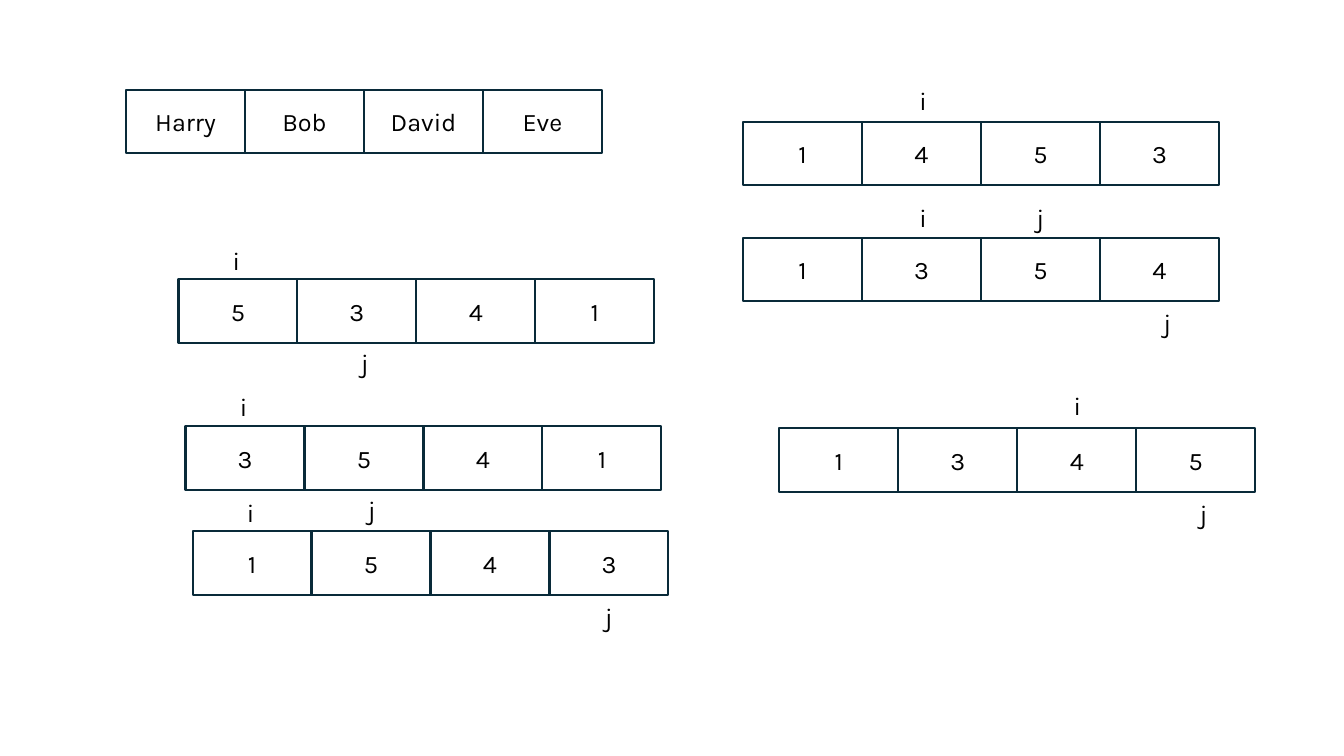
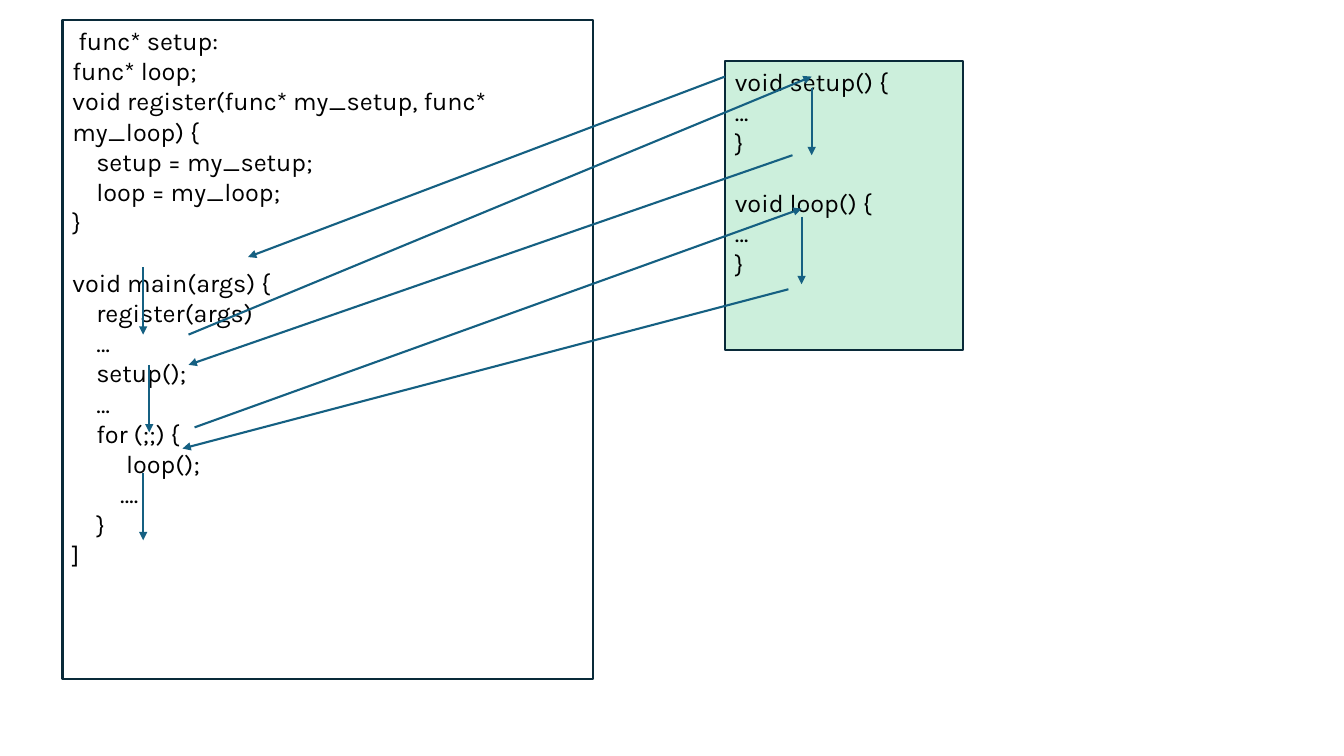
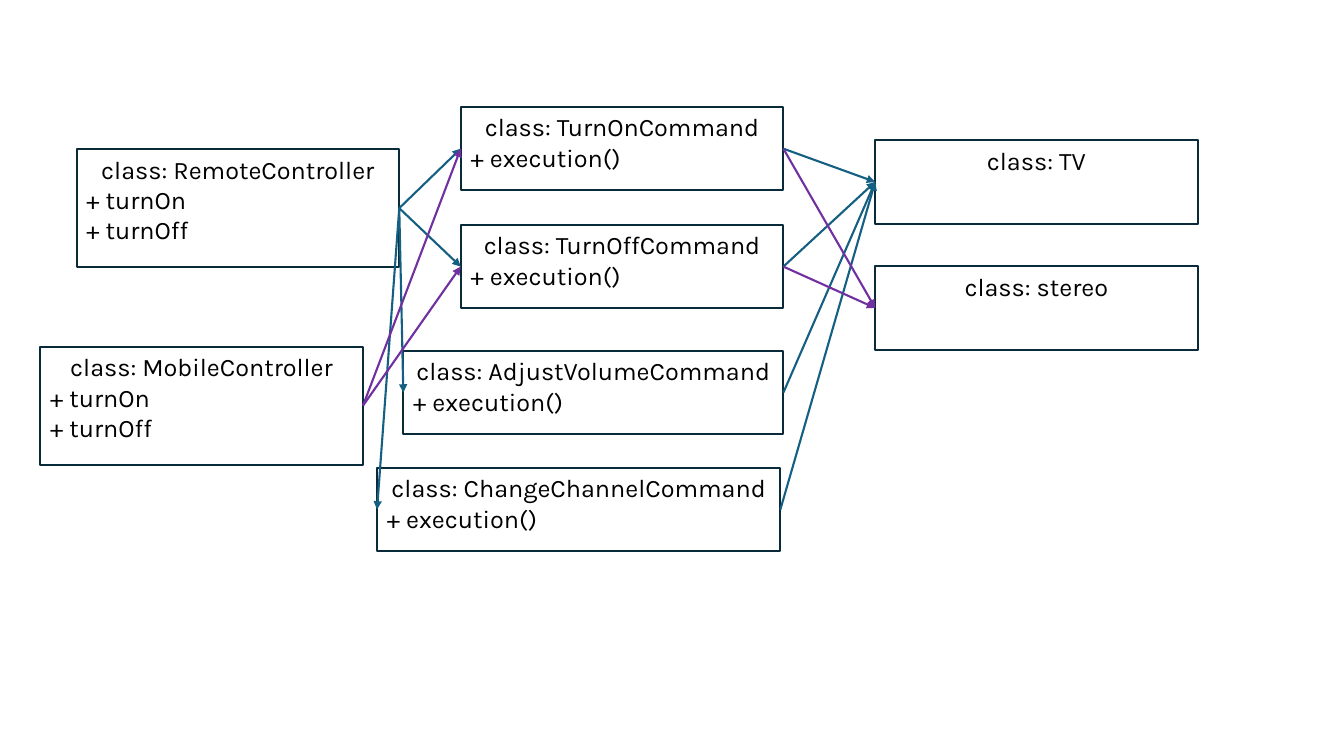
from lxml.etree import SubElement
from pptx import Presentation
from pptx.dml.color import RGBColor
from pptx.enum.shapes import MSO_CONNECTOR, MSO_SHAPE
from pptx.enum.text import MSO_ANCHOR, MSO_AUTO_SIZE, PP_ALIGN
from pptx.oxml.ns import qn
from pptx.util import Inches, Pt

FONT = "Karla"
SIZE = 18
BLACK = "000000"
EDGE = "092A39"
BLUE = "156082"
PURPLE = "7030A0"
GREEN = "00B050"
CELL = 1.18
ROW = 0.63
LINE_GAP = 21.6

ARRAYS = [
    (1.25, 0.89, ["Harry", "Bob", "David", "Eve"], []),
    (1.77, 2.77, "5341", [("i", 0, 0.44, -0.39), ("j", 1, 0.53, 0.63)]),
    (1.84, 4.23, "3541", [("i", 0, 0.44, -0.4), ("j", 1, 0.53, 0.63)]),
    (1.91, 5.27, "1543", [("i", 0, 0.44, -0.39), ("j", 3, 0.45, 0.65)]),
    (7.37, 1.21, "1453", [("i", 1, 0.47, -0.41)]),
    (7.37, 2.36, "1354", [("i", 1, 0.47, -0.4), ("j", 2, 0.45, -0.4),
                          ("j", 3, 0.53, 0.64)]),
    (7.73, 4.25, "1345", [("i", 2, 0.46, -0.43), ("j", 3, 0.53, 0.64)]),
]

MAIN = [
    [" func* setup:", "func* loop;",
     "void register(func* my_setup, func* my_loop) {",
     "    setup = my_setup;", "    loop = my_loop;", "}"],
    ["void main(args) {", "    register(args)", "    …", "    setup();",
     "    …", "    for (;;) {", "         loop();", "        ….", "    }", "]"],
]
USER = [["void setup() {", "…", "}"], ["void loop() {", "…", "}"]]
CALLS = [
    (7.19, 0.76, 2.46, 2.55),
    (1.87, 3.32, 8.05, 0.76),
    (7.86, 1.54, 1.87, 3.62),
    (1.93, 4.24, 7.95, 2.07),
    (7.82, 2.87, 1.81, 4.45),
]
STEPS = [(8.05, 0.87), (1.42, 2.65), (1.48, 3.62), (7.95, 2.15), (1.42, 4.69)]
STEP = 0.67

SWITCH = ["+ turnOn", "+ turnOff"]
RUN = ["+ execution()"]
CLASSES = {
    "RemoteController": (0.76, 1.48, 3.2, 1.17, SWITCH),
    "TurnOnCommand": (4.57, 1.06, 3.2, 0.83, RUN),
    "TurnOffCommand": (4.57, 2.23, 3.2, 0.83, RUN),
    "AdjustVolumeCommand": (4, 3.48, 3.77, 0.83, RUN),
    "ChangeChannelCommand": (3.74, 4.64, 4, 0.83, RUN),
    "TV": (8.68, 1.39, 3.2, 0.83, []),
    "stereo": (8.68, 2.64, 3.2, 0.83, []),
    "MobileController": (0.4, 3.44, 3.2, 1.17, SWITCH),
}
BASIC = ["TurnOnCommand", "TurnOffCommand"]
ALL = BASIC + ["AdjustVolumeCommand", "ChangeChannelCommand"]
LINKS = (
    [("RemoteController", name, BLUE) for name in ALL]
    + [(name, "TV", BLUE) for name in ALL]
    + [(name, "stereo", PURPLE) for name in BASIC]
    + [("MobileController", name, PURPLE) for name in BASIC]
)


def color(code):
    return RGBColor.from_string(code)


def write(frame, lines):
    for num, (text, align, gap) in enumerate(lines):
        para = frame.paragraphs[0] if num == 0 else frame.add_paragraph()
        para.alignment = align
        para.space_before = Pt(gap)
        run = para.add_run()
        run.text = text
        run.font.name = FONT
        run.font.size = Pt(SIZE)
        run.font.color.rgb = color(BLACK)


def box(slide, x, y, w, h, lines, anchor=MSO_ANCHOR.TOP, tint=None):
    shape = slide.shapes.add_shape(
        MSO_SHAPE.RECTANGLE, Inches(x), Inches(y), Inches(w), Inches(h))
    shape.shadow.inherit = False
    shape.line.color.rgb = color(EDGE)
    shape.line.width = Pt(1.5)
    if tint:
        shape.fill.solid()
        shape.fill.fore_color.rgb = color(tint)
        fill = shape.fill._xPr.find(qn("a:solidFill"))
        SubElement(fill[0], qn("a:alpha"), val="20000")
    else:
        shape.fill.background()
    frame = shape.text_frame
    frame.word_wrap = True
    frame.vertical_anchor = anchor
    write(frame, lines)
    return shape


def label(slide, x, y, text):
    frame = slide.shapes.add_textbox(
        Inches(x), Inches(y), Inches(0.26), Inches(0.4)).text_frame
    frame.word_wrap = False
    frame.auto_size = MSO_AUTO_SIZE.SHAPE_TO_FIT_TEXT
    write(frame, [(text, PP_ALIGN.LEFT, 0)])


def arrow(slide, x1, y1, x2, y2, tint=BLUE):
    link = slide.shapes.add_connector(
        MSO_CONNECTOR.STRAIGHT, Inches(x1), Inches(y1), Inches(x2), Inches(y2))
    link.line.color.rgb = color(tint)
    link.line.width = Pt(1.5)
    SubElement(link.line._get_or_add_ln(), qn("a:tailEnd"), type="triangle")
    SubElement(link._element.spPr, qn("a:effectLst"))
    return link


def array(slide, x, y, items, marks):
    for num, item in enumerate(items):
        box(slide, x + num * CELL, y, CELL, ROW,
            [(item, PP_ALIGN.CENTER, 0)], MSO_ANCHOR.MIDDLE)
    for text, slot, dx, dy in marks:
        label(slide, x + slot * CELL + dx, y + dy, text)


def code(slide, x, y, w, h, blocks, tint=None):
    lines = [(text, PP_ALIGN.LEFT, LINE_GAP if part and not num else 0)
             for part, block in enumerate(blocks)
             for num, text in enumerate(block)]
    box(slide, x, y, w, h, lines, tint=tint)


def node(slide, name, x, y, w, h, rows):
    lines = [(f"class: {name}", PP_ALIGN.CENTER, 0)]
    lines += [(row, PP_ALIGN.LEFT, 0) for row in rows]
    return box(slide, x, y, w, h, lines)


def sort_slide(slide):
    for spec_row in ARRAYS:
        array(slide, *spec_row)


def call_slide(slide):
    code(slide, 0.62, 0.2, 5.26, 6.54, MAIN)
    code(slide, 7.19, 0.61, 2.36, 2.86, USER, GREEN)
    for call in CALLS:
        arrow(slide, *call)
    for x, y in STEPS:
        arrow(slide, x, y, x, y + STEP)


def class_slide(slide):
    nodes = {name: node(slide, name, *place) for name, place in CLASSES.items()}
    for start, end, tint in LINKS:
        link = arrow(slide, 0, 0, 1, 1, tint)
        link.begin_connect(nodes[start], 3)
        link.end_connect(nodes[end], 1)


def main():
    deck = Presentation()
    deck.slide_width = Inches(13.33)
    deck.slide_height = Inches(7.5)
    for build in (sort_slide, call_slide, class_slide):
        build(deck.slides.add_slide(deck.slide_layouts[6]))
    deck.save("out.pptx")


if __name__ == "__main__":
    main()
